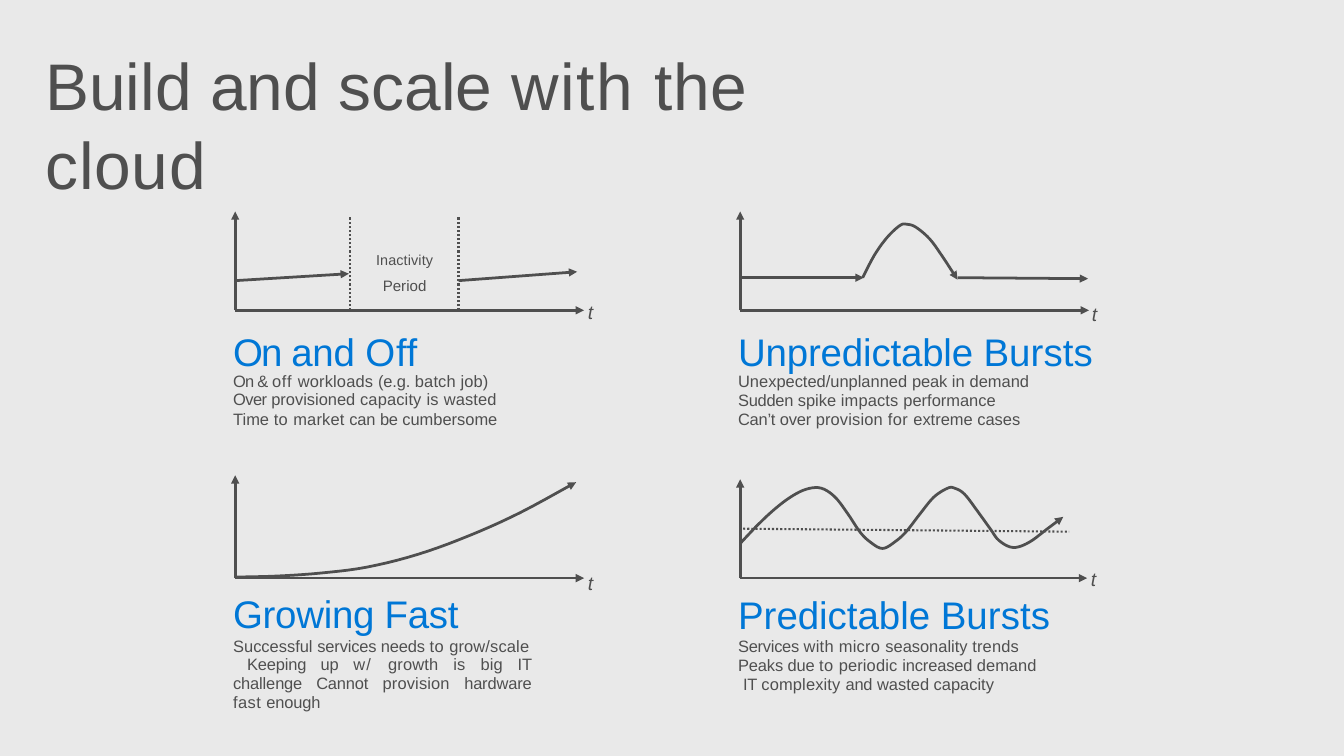
from lxml.etree import SubElement
from pptx import Presentation
from pptx.dml.color import RGBColor
from pptx.enum.dml import MSO_LINE_DASH_STYLE as Dash
from pptx.enum.shapes import MSO_CONNECTOR_TYPE as Connector
from pptx.enum.text import MSO_ANCHOR as Anchor, MSO_AUTO_SIZE as AutoSize, PP_ALIGN as Align
from pptx.oxml.ns import qn
from pptx.util import Inches, Pt

GRAY = RGBColor(0x4F, 0x4F, 0x4F)
BLUE = RGBColor(0x00, 0x77, 0xD6)
PALE = RGBColor(0xE9, 0xE9, 0xE9)
FONT = "Arial"

TITLE = [("Build ", 0), ("and ", -0.1), ("scale ", 0.2), ("with ", 1.1),
         ("the ", 0.3), ("cloud", 0.6)]

# Each chart: axis corner, axis top, axis right end, place of the "t" label
AXES = [
    (2.38, 3.14, 2.14, 5.91, (5.94, 3.03)),
    (7.49, 3.14, 2.14, 11.02, (11.04, 3.05)),
    (2.38, 5.85, 4.81, 5.91, (5.94, 5.77)),
    (7.49, 5.85, 4.85, 11.0, (11.03, 5.73)),
]
TREND_ARROWS = [
    (2.38, 2.84, 3.53, 2.77), (4.64, 2.84, 5.84, 2.75),
    (7.49, 2.81, 8.74, 2.81), (9.69, 2.81, 11.01, 2.82),
]
DOTTED_LINES = [
    (3.54, 3.14, 3.54, 2.19), (4.64, 3.14, 4.64, 2.19), (7.52, 5.35, 10.82, 5.38),
]
BURST = [(8.73, 2.81), (8.85, 2.58), (8.98, 2.4), (9.11, 2.28), (9.18, 2.27),
         (9.27, 2.3), (9.41, 2.42), (9.54, 2.6), (9.69, 2.83)]
GROWTH = [(2.38, 5.84), (2.8, 5.83), (3.24, 5.8), (3.71, 5.74), (4.23, 5.61),
          (4.75, 5.42), (5.26, 5.19), (5.83, 4.88)]
WAVES = [(7.49, 5.5), (7.66, 5.32), (7.83, 5.16), (8, 5.03), (8.16, 4.95), (8.31, 4.94),
         (8.45, 5.03), (8.58, 5.2), (8.7, 5.38), (8.8, 5.48), (8.93, 5.55), (9.06, 5.48),
         (9.17, 5.38), (9.31, 5.2), (9.45, 5.03), (9.59, 4.94), (9.66, 4.94), (9.76, 5),
         (9.89, 5.17), (10.02, 5.35), (10.11, 5.47), (10.25, 5.54), (10.41, 5.49),
         (10.6, 5.35), (10.76, 5.23)]

# Each caption: box, heading leading and runs, then body lines as
# (leading, format, runs); a run is its text and letter spacing in points
CAPTIONS = [
    ((2.35, 3.34, 2.69, 1.01), 31.4, [("On ", -1.4), ("and ", -0.1), ("Off", 0.5)], [
        (11.8, {}, [("On & ", -0.6), ("off ", 0.6), ("workloads ", 0.1),
                    ("(e.g. ", -0.1), ("batch job)", 0.1)]),
        (13.7, {}, [("Over ", -0.4), ("provisioned ", 0), ("capacity ", 0.1),
                    ("is ", 0.2), ("wasted", 0.1)]),
        (14.1, {}, [("Time ", 0), ("to ", 0.3), ("market ", 0.1), ("can ", -0.1),
                    ("be ", -0.2), ("cumbersome", 0)])]),
    ((7.46, 3.34, 3.64, 1.02), 31.6, [("Unpredictable ", -0.1), ("Bursts", 0.1)], [
        (12.1, {}, [("Unexpected/unplanned ", 0), ("peak ", -0.1), ("in ", 0.1),
                    ("demand", 0)]),
        (13.7, {}, [("Sudden ", -0.2), ("spike ", 0), ("impacts ", 0.1),
                    ("performance", 0)]),
        (14.1, {}, [("Can’t ", -0.2), ("over ", -0.1), ("provision ", 0.1),
                    ("for ", 0.3), ("extreme cases", 0)])]),
    ((2.35, 5.98, 3.03, 1.05), 32.6, [("Growing Fast", -0.2)], [
        (13.7, {}, [("Successful ", 0), ("services needs ", -0.1), ("to ", 0.3),
                    ("grow/scale", 0.1)]),
        (13.7, {"align": Align.JUSTIFY, "indent": 0.14},
         [("Keeping up ", -0.1), ("w/ ", 0.9), ("growth ", 0.1), ("is ", 0.2),
          ("big ", 0.1), ("IT challenge Cannot ", -0.1), ("provision ", 0.1),
          ("hardware ", -0.1), ("fast ", 0.3), ("enough", -0.1)])]),
    ((7.46, 5.98, 3.2, 1.05), 32.9, [("Predictable ", 0), ("Bursts", 0.1)], [
        (13.7, {}, [("Services ", -0.2), ("with micro ", 0.2), ("seasonality ", 0),
                    ("trends", 0.1)]),
        (13.7, {}, [("Peaks due ", -0.1), ("to ", 0.3), ("periodic ", 0.1),
                    ("increased ", -0.1), ("demand", 0)]),
        (13.7, {"indent": 0.05}, [("IT ", -0.2), ("complexity ", 0.1), ("and ", -0.1),
                                  ("wasted capacity", 0)])]),
]


def spline(knots, steps=5):
    """Return points on a smooth Catmull-Rom curve through the knots."""
    ends = [knots[0], *knots, knots[-1]]
    points = [knots[0]]
    for a, b, c, d in zip(ends, ends[1:], ends[2:], ends[3:]):
        for step in range(1, steps + 1):
            t = step / steps
            points.append(tuple(
                0.5 * (2 * q + (r - p) * t + (2 * p - 5 * q + 4 * r - s) * t ** 2
                       + (3 * q - p - 3 * r + s) * t ** 3)
                for p, q, r, s in zip(a, b, c, d)))
    return points


def add_span(para, text, size=12, color=GRAY, italic=False, spacing=0):
    span = para.add_run()
    span.text = text
    font = span.font
    font.name, font.size, font.italic = FONT, Pt(size), italic
    font.color.rgb = color
    font._element.set("spc", str(round(spacing * 100)))


class ScalingSlide:
    def __init__(self, deck):
        self.page = deck.slides.add_slide(deck.slide_layouts[5])
        self.page.background.fill.solid()
        self.page.background.fill.fore_color.rgb = PALE

    def prepare(self, shape, at, inset_top=0.01):
        shape.left, shape.top, shape.width, shape.height = map(Inches, at)
        frame = shape.text_frame
        frame.word_wrap, frame.auto_size = True, AutoSize.NONE
        frame.vertical_anchor = Anchor.TOP
        frame.margin_left, frame.margin_top = Inches(0.01), Inches(inset_top)
        frame.margin_right = frame.margin_bottom = 0
        return frame

    def title(self, at, runs):
        frame = self.prepare(self.page.shapes.title, at)
        self.para(frame, runs, before=1, size=48)

    def text_box(self, at, inset_top=0.01):
        return self.prepare(self.page.shapes.add_textbox(*map(Inches, at)), at, inset_top)

    def para(self, frame, runs, leading=None, before=0, align=Align.LEFT, indent=0, **style):
        """Fill the first paragraph if it is empty, else add one."""
        para = frame.paragraphs[0]
        if para.runs:
            para = frame.add_paragraph()
        para.alignment, para.space_before = align, Pt(before)
        if leading:
            para.line_spacing = Pt(leading)
        if indent:
            para._p.get_or_add_pPr().set("indent", str(Inches(indent)))
        for text, spacing in runs:
            add_span(para, text, spacing=spacing, **style)

    def style_line(self, shape, width=2, arrow=True):
        shape.line.color.rgb, shape.line.width = GRAY, Pt(width)
        if arrow:
            SubElement(shape.line._get_or_add_ln(), qn("a:tailEnd"), type="triangle")

    def line(self, x1, y1, x2, y2, dotted=False):
        line = self.page.shapes.add_connector(
            Connector.STRAIGHT, *map(Inches, (x1, y1, x2, y2)))
        self.style_line(line, 1.5 if dotted else 2, arrow=not dotted)
        if dotted:
            line.line.dash_style = Dash.ROUND_DOT
        SubElement(line._element.spPr, qn("a:effectLst"))

    def curve(self, knots):
        start, *rest = [(Inches(x), Inches(y)) for x, y in spline(knots)]
        builder = self.page.shapes.build_freeform(*start)
        builder.add_line_segments(rest, close=False)
        shape = builder.convert_to_shape()
        shape.shadow.inherit = False
        shape.fill.background()
        self.style_line(shape)

    def axes(self, left, base, top, right, label):
        self.line(left, base, left, top)
        self.line(left, base, right, base)
        frame = self.text_box((*label, 0.09, 0.26))
        self.para(frame, [("t", 0.6)], before=1, size=14, italic=True)

    def caption(self, at, leading, heading, body):
        frame = self.text_box(at)
        self.para(frame, heading, leading, before=1, size=28, color=BLUE)
        for line_leading, layout, runs in body:
            self.para(frame, runs, line_leading, **layout)


def main():
    deck = Presentation()
    deck.slide_width, deck.slide_height = Inches(13.6), Inches(7.65)
    slide = ScalingSlide(deck)
    slide.title((0.45, 0.44, 8.84, 0.83), TITLE)
    for axes in AXES:
        slide.axes(*axes)
    for arrow in TREND_ARROWS:
        slide.line(*arrow)
    for dotted in DOTTED_LINES:
        slide.line(*dotted, dotted=True)
    for knots in (BURST, GROWTH, WAVES):
        slide.curve(knots)
    for caption in CAPTIONS:
        slide.caption(*caption)
    inactivity = slide.text_box((3.78, 2.45, 0.62, 0.55), inset_top=0.09)
    slide.para(inactivity, [("Inactivity", 0.1)], before=6.7, align=Align.CENTER, size=10.5)
    slide.para(inactivity, [("Period", 0)], before=5.9, align=Align.CENTER, size=11)
    deck.save("out.pptx")


if __name__ == "__main__":
    main()
